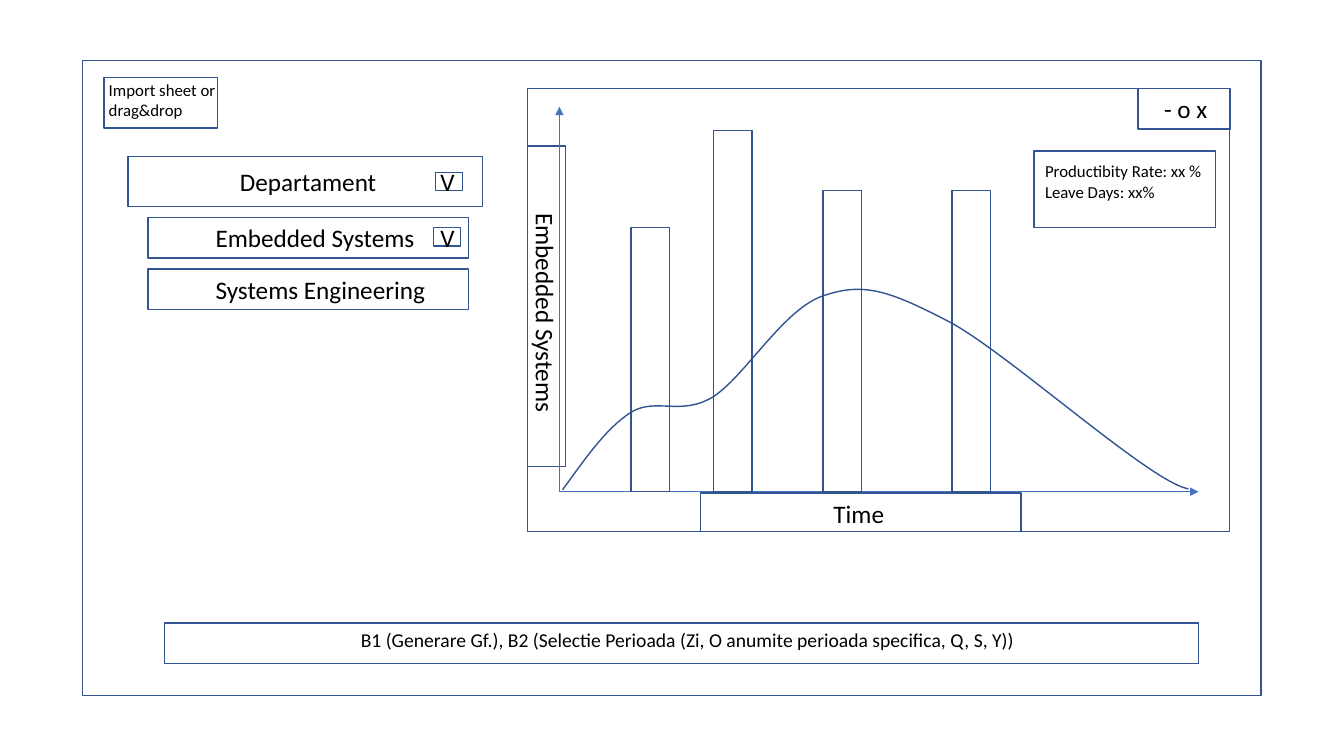
from dataclasses import dataclass

from lxml.etree import SubElement
from pptx import Presentation
from pptx.dml.color import RGBColor
from pptx.enum.shapes import MSO_CONNECTOR as CONN, MSO_SHAPE as SHAPE
from pptx.oxml.ns import qn
from pptx.util import Pt


@dataclass(frozen=True)
class Theme:
    font: str = "Calibri"
    ink: RGBColor = RGBColor(0, 0, 0)
    outline: RGBColor = RGBColor(0x32, 0x54, 0x91)
    axis: RGBColor = RGBColor(0x44, 0x72, 0xC4)
    label: int = 18
    action: int = 14
    note: int = 12


THEME = Theme()

# Content: all lengths in points, boxes as left, top, width, height
FRAMES = [
    (59, 43.2, 841.7, 453.6),      # main window
    (74.2, 55.4, 81.4, 36),        # import
    (91.4, 111.6, 253.4, 36),      # department selector
    (311, 123.1, 19.4, 13),        # its drop-down
    (309.6, 162.7, 19.4, 13),      # first row's drop-down
    (117.4, 445, 738.7, 28.8),     # actions
    (376.6, 63.4, 501.8, 316.1),   # chart window
    (812.9, 63.4, 66.2, 28.8),     # window buttons
    (376.6, 104.4, 27.4, 229),     # vertical axis label
    (500.4, 352.1, 229, 27.4),     # time axis label
    (738.7, 108, 129.6, 54.7),     # statistics
]
LABELS = [  # text, size, box, rotation
    ("Import sheet or drag&drop", THEME.note, (70.6, 53.3, 110.9, 36), 0),
    ("Departament", THEME.label, (164.2, 115.2, 236.2, 28.8), 0),
    ("V", THEME.label, (307.4, 115.2, 27.4, 28.8), 0),
    ("V", THEME.label, (307.4, 155.5, 27.4, 28.8), 0),
    ("B1 (Generare Gf.), B2 (Selectie Perioada (Zi, O anumite perioada specifica, Q, S, Y))",
     THEME.action, (250.6, 445, 606.2, 24.5), 0),
    ("- o x", THEME.label, (824.4, 63.4, 54, 28.8), 0),
    ("Embedded Systems", THEME.label, (296.6, 225.4, 187.9, 27.4), 90),
    ("Time", THEME.label, (588.2, 352.1, 187.9, 28.8), 0),
    ("Productibity Rate: xx %\nLeave Days: xx%", THEME.note, (739.4, 111.6, 128.9, 51.1), 0),
]
DEPARTMENTS = ["Embedded Systems", "Systems Engineering"]
ROW_TOP, ROW_STEP, ROW_HEIGHT = 155.5, 36.7, 28.8
BARS = [(450.7, 188.6), (509.8, 257.8), (587.9, 215.3), (680, 215.3)]  # left, height
BAR_WIDTH = 27.4
ORIGIN_X, BASELINE = 399.6, 351.2
AXIS_ENDS = [(ORIGIN_X, 76.3), (856.1, BASELINE)]
CURVE_START = (401.8, 349.9)
CURVE = [  # two control points and an end point per segment
    [(417.6, 328.3), (432.7, 306), (450.7, 294.5)],
    [(468.7, 283.7), (486, 297.4), (509, 283.7)],
    [(532.1, 269.3), (560.2, 219.6), (589, 211)],
    [(617, 201.6), (635, 207.4), (679, 230.4)],
    [(721.4, 253.4), (822.2, 344.9), (848.9, 349.2)],
]


def pts(values):
    return [Pt(v) for v in values]


def outline(sp):
    sp.shadow.inherit = False
    sp.fill.background()
    sp.line.color.rgb = THEME.outline
    sp.line.width = Pt(1)


def add_frame(s, box):
    outline(s.shapes.add_shape(SHAPE.RECTANGLE, *pts(box)))


def add_label(s, text, size, box, rotation=0):
    sp = s.shapes.add_textbox(*pts(box))
    sp.rotation = rotation
    tf = sp.text_frame
    tf.word_wrap = True
    tf.text = text
    for p in tf.paragraphs:
        for r in p.runs:
            r.font.name = THEME.font
            r.font.size = Pt(size)
            r.font.color.rgb = THEME.ink


def add_axis(s, end):
    sp = s.shapes.add_connector(CONN.STRAIGHT, *pts((ORIGIN_X, BASELINE, *end)))
    sp.line.color.rgb = THEME.axis
    sp.line.width = Pt(0.5)
    SubElement(sp.line._get_or_add_ln(), qn("a:tailEnd"), type="triangle")
    SubElement(sp._element.spPr, qn("a:effectLst"))


def add_curve(s):
    builder = s.shapes.build_freeform(*pts(CURVE_START))
    builder.add_line_segments([pts(xy) for segment in CURVE for xy in segment], close=False)
    sp = builder.convert_to_shape()
    outline(sp)
    # Turn every three straight steps into one Bézier segment
    track = next(sp._element.iter(qn("a:path")))
    steps = track.findall(qn("a:lnTo"))
    for i in range(0, len(steps), 3):
        bezier = SubElement(track, qn("a:cubicBezTo"))
        for step in steps[i:i + 3]:
            bezier.append(step[0])
            track.remove(step)


def main():
    prs = Presentation()
    prs.slide_width, prs.slide_height = Pt(960), Pt(540)
    s = prs.slides.add_slide(prs.slide_layouts[6])

    # Window layout
    for box in FRAMES:
        add_frame(s, box)

    # Department rows
    for i, name in enumerate(DEPARTMENTS):
        top = ROW_TOP + i * ROW_STEP
        add_frame(s, (105.8, top, 229, ROW_HEIGHT))
        add_label(s, name, THEME.label, (146.9, top, 187.9, ROW_HEIGHT))

    # Chart sketch
    for end in AXIS_ENDS:
        add_axis(s, end)
    for left, height in BARS:
        add_frame(s, (left, BASELINE - height, BAR_WIDTH, height))
    add_curve(s)

    # Labels
    for label in LABELS:
        add_label(s, *label)

    prs.save("out.pptx")


if __name__ == "__main__":
    main()
